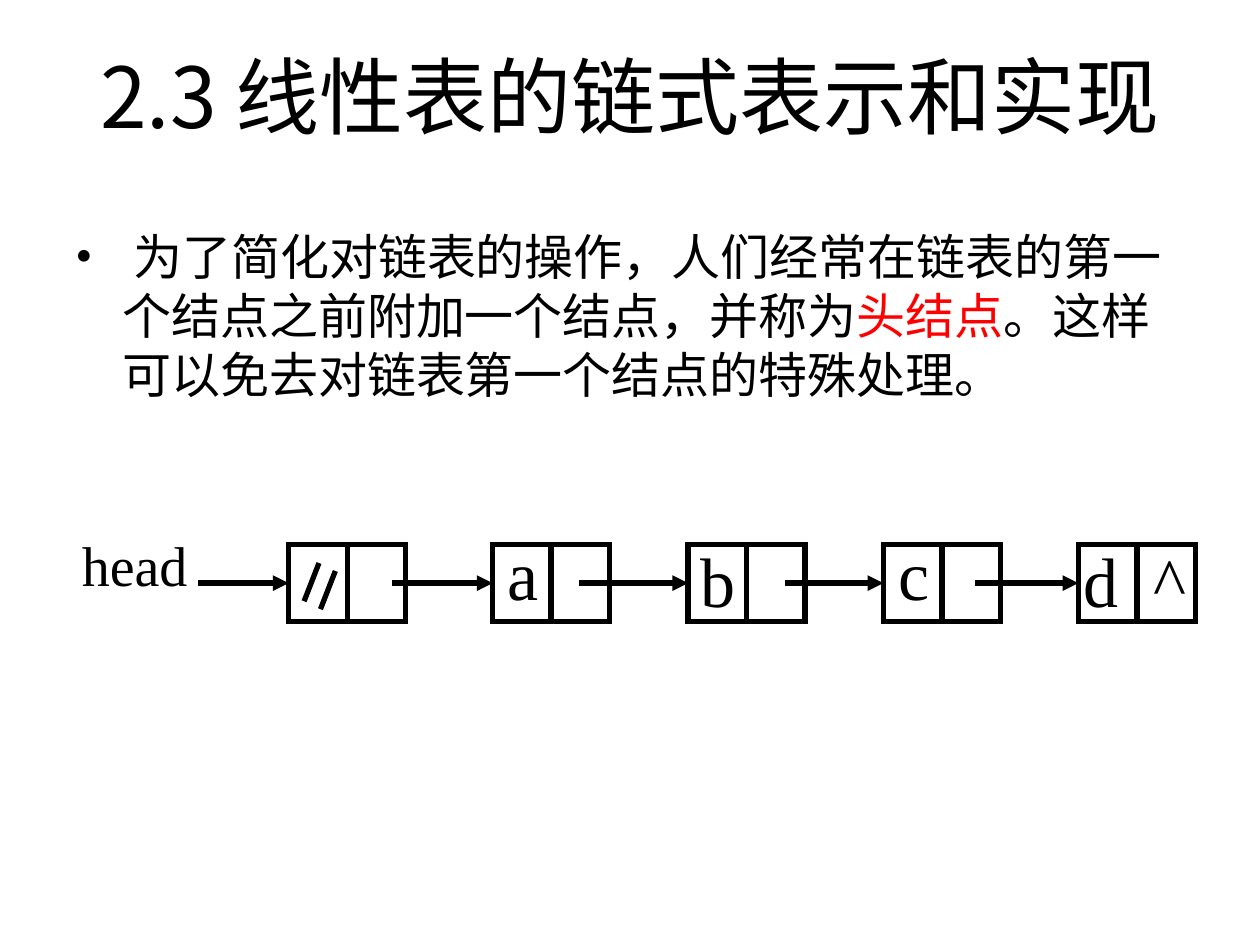
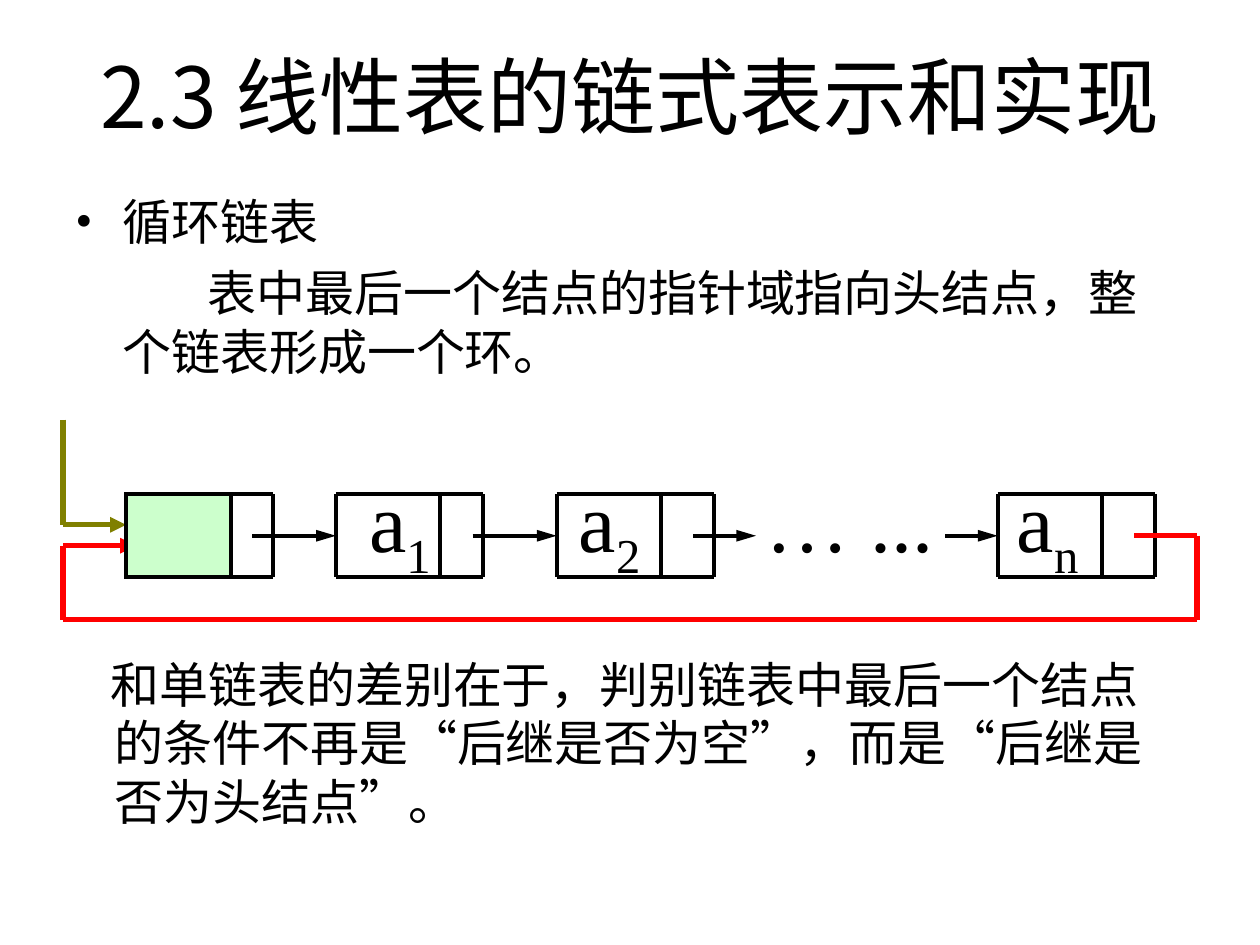
from pptx import Presentation
from pptx.dml.color import RGBColor
from pptx.enum.shapes import MSO_CONNECTOR, MSO_SHAPE
from pptx.enum.text import MSO_ANCHOR, PP_ALIGN
from pptx.oxml.ns import qn
from pptx.util import Cm, Pt
from lxml.etree import SubElement

theme = {
    "black": RGBColor(0, 0, 0),
    "red": RGBColor(255, 0, 0),
    "olive": RGBColor(128, 128, 0),
    "mint": RGBColor(204, 255, 204),
    "cjk": "Noto Sans CJK SC",
    "serif": "Times New Roman",
    "title": 48, "body": 28, "name": 32, "node": 40, "big": 48,
    "bold": 3, "thin": 2.25,
}
black, red, olive = theme["black"], theme["red"], theme["olive"]


def write(slide, box, paras, size, face="cjk", **form):
    frame = slide.shapes.add_textbox(*map(Cm, box)).text_frame
    for key, val in {"word_wrap": True, "vertical_anchor": MSO_ANCHOR.TOP}.items():
        setattr(frame, key, val)
    for num, (runs, left, first, mark) in enumerate(paras):
        para = frame.paragraphs[0] if num == 0 else frame.add_paragraph()
        for key, val in form.items():
            setattr(para, key, val)
        if num:
            para.space_before = Pt(7)
        props = para._p.get_or_add_pPr()
        props.set("marL", str(Cm(left)))
        props.set("indent", str(Cm(first)))
        if mark:
            SubElement(props, qn("a:buFont"), typeface=theme["serif"])
            SubElement(props, qn("a:buChar"), char=mark)
        else:
            SubElement(props, qn("a:buNone"))
        for text, tint, base in runs:
            run = para.add_run()
            run.text = text
            look = {"size": Pt(theme[size]), "name": theme[face]}
            for key, val in look.items():
                setattr(run.font, key, val)
            run.font.color.rgb = tint
            if base:
                run.font._element.set("baseline", str(base * 1000))
            SubElement(run.font._element, qn("a:ea"), typeface=theme["cjk"])


def link(slide, x1, y1, x2, y2, tint=black, width="bold", head=None, ends=()):
    line = slide.shapes.add_connector(MSO_CONNECTOR.STRAIGHT, *map(Cm, (x1, y1, x2, y2)))
    line.line.color.rgb = tint
    line.line.width = Pt(theme[width])
    if head:
        SubElement(line.line._get_or_add_ln(), qn("a:tailEnd"), type="triangle", len=head)
    SubElement(line._element.spPr, qn("a:effectLst"))
    for join, shape, side in ends:
        getattr(line, join)(shape, side)


deck = Presentation()
deck.slide_width, deck.slide_height = Cm(25.4), Cm(19.05)
plain = deck.slide_layouts[6]

bodies = [
    (4.45, 4.47, [([(" ", black, 0),
                    ("为了简化对链表的操作，人们经常在链表的第一个结点之前附加一个结点，并称为", black, 0),
                    ("头结点", red, 0),
                    ("。这样可以免去对链表第一个结点的特殊处理。", black, 0)], 0.95, -0.95, "•")]),
    (3.73, 4.09, [([("循环链表", black, 0)], 0.95, -0.95, "•"),
                  ([("表中最后一个结点的指针域指向头结点，整个链表形成一个环。", black, 0)], 0.95, 1.72, None)]),
]
slides = []
for top, high, paras in bodies:
    slide = deck.slides.add_slide(plain)
    slides.append(slide)
    write(slide, (1.27, 0.78, 22.86, 3.18), [([("2.3 线性表的链式表示和实现", black, 0)], 0, 0, None)],
          "title", alignment=PP_ALIGN.CENTER)
    write(slide, (1.27, top, 22.63, high), paras, "body")
first, ring = slides

y, wide, tall = 10.98, 2.36, 1.55
for x, start in [(5.82, 3.99), (9.93, 7.9), (13.87, 11.68), (17.81, 15.82), (21.74, 19.66)]:
    node = first.shapes.add_shape(MSO_SHAPE.RECTANGLE, *map(Cm, (x, y, wide, tall)))
    node.shadow.inherit = False
    node.fill.background()
    node.line.color.rgb = black
    node.line.width = Pt(theme["bold"])
    SubElement(node.line._get_or_add_ln(), qn("a:miter"), lim="800000")
    half, mid = x + wide / 2, y + tall / 2
    link(first, half, y, half, y + tall,
         ends=[("begin_connect", node, 0), ("end_connect", node, 2)])
    link(first, start, mid, x, mid, head="med", ends=[("end_connect", node, 1)])

write(first, (1.4, 10.57, 3.18, 2.31), [([("head", black, 0)], 0, 0, None)], "name", "serif")
for text, x, top in [("a", 9.98, 10.69), ("b", 13.87, 10.82), ("c", 17.86, 10.69),
                     ("d", 21.59, 10.82), ("^", 23, 10.82)]:
    write(first, (x, top, 1.47, 2.31), [([(text, black, 0)], 0, 0, None)],
          "node", "serif", line_spacing=0.96)
for x, top in [(6.43, 11.35), (6.76, 11.51)]:
    link(first, x, top, x - 0.3, top + 0.77)

for x, text, sub in [(7.19, "a", "1"), (11.42, "a", "2"), (15.19, "… ...", ""), (20.25, "a", "n")]:
    runs = [(text, black, 0)] + [(sub, black, -25)] * bool(sub)
    write(ring, (x, 9.32, 4.2, 2.4), [(runs, 0, 0, None)], "big", "serif")

y, low, mid, cut = 9.96, 11.64, 10.8, 2.11
for left, right in [(2.54, 5.51), (6.77, 9.74), (11.22, 14.39), (20.11, 23.28)]:
    for level in (y, low):
        link(ring, left, level, right, level, width="thin")
    for x in (left, left + cut, right):
        link(ring, x, y, x, low, width="thin")
for start, stop in [(5.08, 6.77), (9.53, 11.22), (13.97, 15.24), (19.05, 20.11)]:
    link(ring, start, mid, stop, mid, width="thin", head="lg")
for tint, route in [(olive, [(1.27, 8.46), (1.27, 10.58), (2.54, 10.58)]),
                    (red, [(22.86, mid), (24.13, mid), (24.13, 12.49), (1.27, 12.49),
                           (1.27, 11), (2.74, 11)])]:
    for start, stop in zip(route, route[1:]):
        link(ring, *start, *stop, tint, head="med" if stop == route[-1] else None)

cell = ring.shapes.add_shape(MSO_SHAPE.RECTANGLE, *map(Cm, (2.54, y, cut, low - y)))
cell.shadow.inherit = False
cell.fill.solid()
cell.fill.fore_color.rgb = theme["mint"]
cell.line.color.rgb = black
cell.line.width = Pt(theme["thin"])
SubElement(cell.line._get_or_add_ln(), qn("a:miter"), lim="800000")
write(ring, (1.11, 13.06, 22.63, 4.09),
      [([("和单链表的差别在于，判别链表中最后一个结点的条件不再是“后继是否为空”，而是“后继是否为头结点”。",
          black, 0)], 0.95, -0.08, None)], "body")

deck.save("out.pptx")
